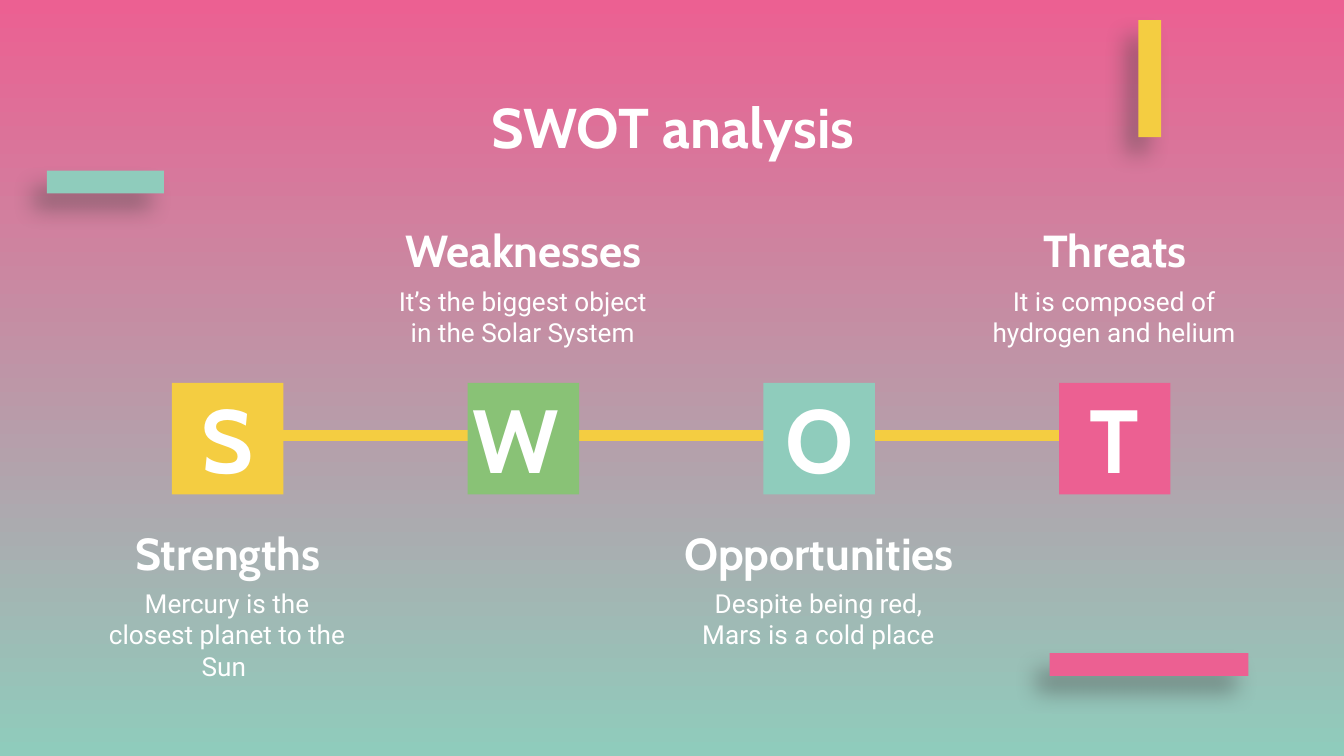
from lxml.etree import SubElement
from pptx import Presentation
from pptx.dml.color import RGBColor
from pptx.enum.shapes import MSO_CONNECTOR, MSO_SHAPE
from pptx.enum.text import MSO_ANCHOR, PP_ALIGN
from pptx.oxml.ns import qn
from pptx.util import Inches, Pt

PINK = RGBColor(0xEC, 0x60, 0x92)
TEAL = RGBColor(0x8F, 0xCC, 0xBC)
YELLOW = RGBColor(0xF4, 0xCD, 0x41)
GREEN = RGBColor(0x89, 0xC2, 0x76)
WHITE = RGBColor(0xFF, 0xFF, 0xFF)

TITLE = {"name": "Cabin", "size": Pt(30), "bold": True}
HEADING = {"name": "Cabin", "size": Pt(24), "bold": True}
LETTER = {"name": "Cabin", "size": Pt(48), "bold": True}
BODY = {"name": "Roboto", "size": Pt(14), "bold": False}

COLUMN_LEFT, COLUMN_PITCH, COLUMN_WIDTH = 0.3, 2.2, 2.79
SQUARE_TOP, SQUARE_SIZE = 2.85, 0.83
ABOVE, BELOW = 1.56, 3.81

# letter, colour, heading, text, top of the text, letter alignment, letter shift
COLUMNS = [
    ("S", YELLOW, "Strengths", "Mercury is the closest planet to the Sun ",
     BELOW, PP_ALIGN.CENTER, 0),
    ("W", GREEN, "Weaknesses", "It’s the biggest object in the Solar System",
     ABOVE, PP_ALIGN.LEFT, -0.06),
    ("O", TEAL, "Opportunities", "Despite being red, Mars is a cold place",
     BELOW, PP_ALIGN.CENTER, 0),
    ("T", PINK, "Threats", "It is composed of hydrogen and helium",
     ABOVE, PP_ALIGN.CENTER, 0),
]


def add_text(slide, box, text, style, align=PP_ALIGN.CENTER,
             anchor=MSO_ANCHOR.TOP):
    tf = slide.shapes.add_textbox(*map(Inches, box)).text_frame
    frame_format = {"word_wrap": True, "vertical_anchor": anchor}
    for side in ("left", "top", "right", "bottom"):
        frame_format[f"margin_{side}"] = Inches(0.1)
    for name, value in frame_format.items():
        setattr(tf, name, value)
    p = tf.paragraphs[0]
    p.alignment = align
    r = p.add_run()
    r.text = text
    for name, value in style.items():
        setattr(r.font, name, value)
    r.font.color.rgb = WHITE


def add_rect(slide, box, color):
    sp = slide.shapes.add_shape(MSO_SHAPE.RECTANGLE, *map(Inches, box))
    sp.shadow.inherit = False
    sp.fill.solid()
    sp.fill.fore_color.rgb = color
    sp.line.fill.background()
    return sp


def add_accent_bar(slide, box, color, rotation=0):
    """Add a bar with a soft shadow falling to the lower left."""
    sp = add_rect(slide, box, color)
    sp.rotation = rotation
    effects = sp._element.spPr.find(qn("a:effectLst"))
    shadow = SubElement(effects, qn("a:outerShdw"), {
        "blurRad": str(Pt(12.4)), "dist": str(Pt(11.2)),
        "dir": str(129 * 60000), "algn": "bl", "rotWithShape": "0"})
    tint = SubElement(shadow, qn("a:srgbClr"), val="434343")
    SubElement(tint, qn("a:alpha"), val="43000")


def add_background(slide):
    fill = slide.background.fill
    fill.gradient()
    fill.gradient_angle = 270
    for stop, color, position in zip(fill.gradient_stops, (PINK, TEAL), (0, 1)):
        stop.color.rgb = color
        stop.position = position


def add_timeline(slide, x1, x2, y):
    line = slide.shapes.add_connector(
        MSO_CONNECTOR.STRAIGHT, *map(Inches, (x1, y, x2, y)))
    line.line.color.rgb = YELLOW
    line.line.width = Pt(6)
    SubElement(line._element.spPr, qn("a:effectLst"))


def add_column(slide, left, width, letter, color, heading, text, text_top,
               align, shift):
    """Add one lettered square, with its heading and text above or below."""
    square_left = left + (width - SQUARE_SIZE) / 2
    add_rect(slide, (square_left, SQUARE_TOP, SQUARE_SIZE, SQUARE_SIZE), color)
    add_text(slide, (square_left + shift, SQUARE_TOP + 0.14, SQUARE_SIZE, 0.54),
             letter, LETTER, align, MSO_ANCHOR.MIDDLE)
    add_text(slide, (left, text_top, width, 0.41), heading, HEADING)
    add_text(slide, (left + 0.34, text_top + 0.46, 2.1, 0.76), text, BODY)


def main():
    prs = Presentation()
    prs.slide_width = Inches(10)
    prs.slide_height = prs.slide_width * 9 // 16
    slide = prs.slides.add_slide(prs.slide_layouts[6])

    add_background(slide)
    add_text(slide, (0.79, 0.59, 8.43, 0.52), "SWOT analysis", TITLE)
    add_timeline(slide, 1.7, 8.32, 3.24)
    for i, column in enumerate(COLUMNS):
        add_column(slide, COLUMN_LEFT + i * COLUMN_PITCH, COLUMN_WIDTH, *column)
    add_accent_bar(slide, (8.12, 0.5, 0.87, 0.17), YELLOW, 270)
    add_accent_bar(slide, (0.35, 1.27, 0.87, 0.17), TEAL)
    add_accent_bar(slide, (7.81, 4.86, 1.48, 0.17), PINK)

    prs.save("out.pptx")


if __name__ == "__main__":
    main()
